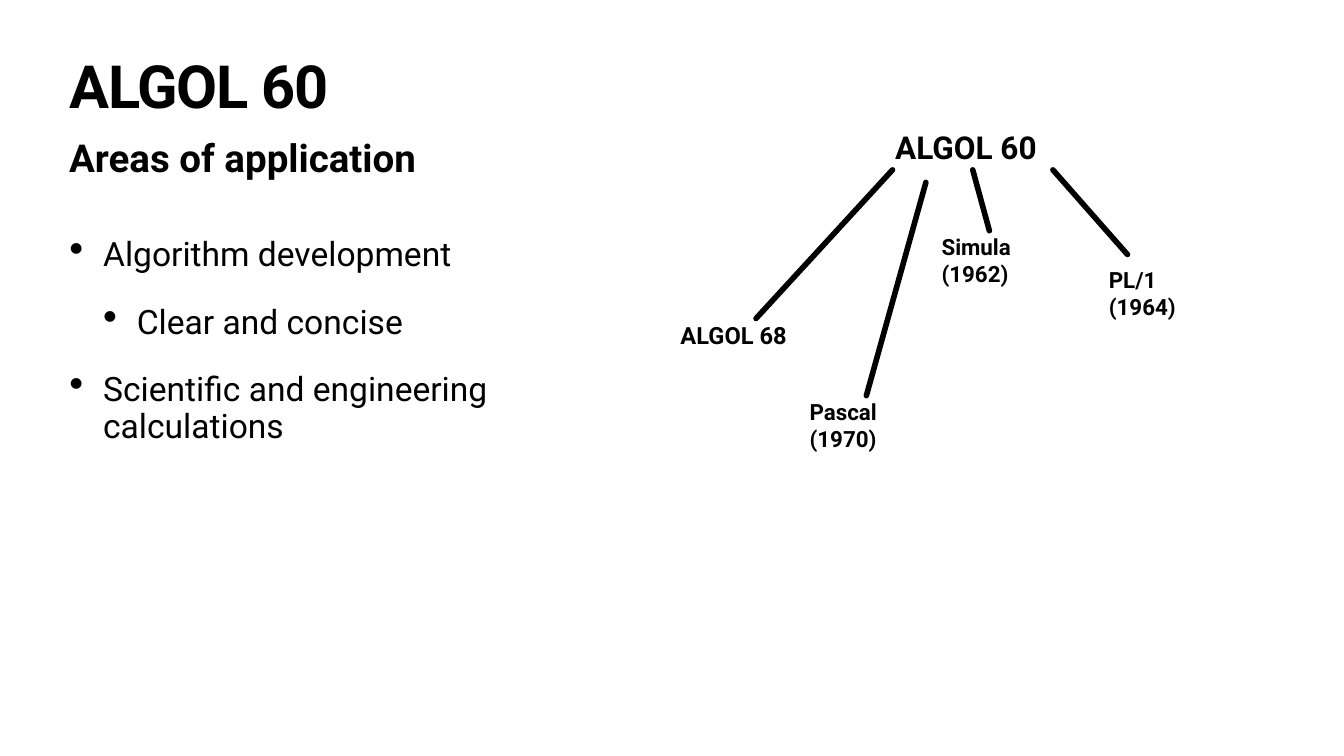
from dataclasses import dataclass

from lxml import etree
from pptx import Presentation
from pptx.dml.color import RGBColor
from pptx.enum.shapes import MSO_CONNECTOR
from pptx.oxml.ns import qn
from pptx.slide import Slide
from pptx.text.text import TextFrame, _Paragraph
from pptx.util import Cm, Pt

STRAIGHT = MSO_CONNECTOR.STRAIGHT
BLANK_LAYOUT = 6
FONT = "Roboto"
COLORS = {"text": "000000", "branch": "000000", "background": "FFFFFF"}

COLUMN_LEFT, COLUMN_WIDTH = 3.35, 27.15
LABEL_WIDTH, LABEL_HEIGHT = 6, 3.02
BULLET_INDENT = 1.7


@dataclass(frozen=True)
class Descendant:
    """A language derived from the root; positions in cm."""

    name: str
    left: float
    top: float
    size: float
    branch_start: tuple[float, float]
    branch_end: tuple[float, float]


@dataclass(frozen=True)
class Bullet:
    content: str
    level: int = 0


DESCENDANTS = (
    Descendant("ALGOL 68", 34.16, 16.05, 33.8, (38.1, 16.05), (44.98, 8.56)),
    Descendant("Simula (1962)", 47.32, 11.63, 31.9, (49.86, 11.63), (49.02, 8.56)),
    Descendant("Pascal (1970)", 40.67, 19.94, 31.9, (43.66, 19.94), (46.66, 9.19)),
    Descendant("PL/1 (1964)", 55.75, 13.28, 31.9, (56.82, 12.83), (53.06, 8.56)),
)

APPLICATIONS = (
    Bullet("Algorithm development"),
    Bullet("Clear and concise", level=1),
    Bullet("Scientific and engineering calculations"),
)


def add_frame(slide: Slide, left: float, top: float, width: float,
              height: float, inset: float = 0.13) -> TextFrame:
    frame = slide.shapes.add_textbox(Cm(left), Cm(top), Cm(width), Cm(height)).text_frame
    frame.word_wrap = True
    frame.margin_left = frame.margin_right = Cm(inset)
    frame.margin_top = frame.margin_bottom = Cm(inset)
    return frame


def add_run(paragraph: _Paragraph, content: str, size: float,
            bold: bool = True, tracking: float = 0) -> None:
    """Add one styled run; tracking is the letter spacing in points."""
    run = paragraph.add_run()
    run.text = content
    run.font.name = FONT
    run.font.size = Pt(size)
    run.font.bold = bold
    run.font.color.rgb = RGBColor.from_string(COLORS["text"])
    if tracking:
        run.font._element.set("spc", str(round(tracking * 100)))


def add_bullet_mark(paragraph: _Paragraph, level: int) -> None:
    properties = paragraph._p.get_or_add_pPr()
    properties.set("marL", str(Cm(BULLET_INDENT * (level + 1))))
    properties.set("indent", str(-Cm(BULLET_INDENT)))
    etree.SubElement(properties, qn("a:buSzPct"), val="123000")
    etree.SubElement(properties, qn("a:buChar"), char="•")


def add_applications(slide: Slide) -> None:
    frame = add_frame(slide, COLUMN_LEFT, 11.81, COLUMN_WIDTH, 22.94, inset=0.15)
    for index, bullet in enumerate(APPLICATIONS):
        paragraph = frame.add_paragraph() if index else frame.paragraphs[0]
        paragraph.level = bullet.level
        paragraph.line_spacing = 0.9
        paragraph.space_before = Pt(45)
        add_bullet_mark(paragraph, bullet.level)
        add_run(paragraph, bullet.content, 48, bold=False)


def add_branch(slide: Slide, start: tuple[float, float], end: tuple[float, float]) -> None:
    branch = slide.shapes.add_connector(STRAIGHT, *map(Cm, start + end))
    branch.line.color.rgb = RGBColor.from_string(COLORS["branch"])
    branch.line.width = Pt(8)
    branch.line._get_or_add_ln().set("cap", "rnd")
    etree.SubElement(branch._element.spPr, qn("a:effectLst"))


def add_family_tree(slide: Slide) -> None:
    root = add_frame(slide, 44.98, 6.32, 8.08, LABEL_HEIGHT)
    add_run(root.paragraphs[0], "ALGOL 60", 45)
    for language in DESCENDANTS:
        label = add_frame(slide, language.left, language.top, LABEL_WIDTH, LABEL_HEIGHT)
        add_run(label.paragraphs[0], language.name, language.size)
    for language in DESCENDANTS:
        add_branch(slide, language.branch_start, language.branch_end)


def main() -> None:
    presentation = Presentation()
    presentation.slide_width, presentation.slide_height = Cm(67.73), Cm(38.1)
    slide = presentation.slides.add_slide(presentation.slide_layouts[BLANK_LAYOUT])
    background = slide.background.fill
    background.solid()
    background.fore_color.rgb = RGBColor.from_string(COLORS["background"])

    subtitle = add_frame(slide, COLUMN_LEFT, 6.6, COLUMN_WIDTH, 2.59)
    add_run(subtitle.paragraphs[0], "Areas of application", 55)
    add_applications(slide)
    title = add_frame(slide, COLUMN_LEFT, 3, COLUMN_WIDTH, 3.99, inset=0.15)
    title.paragraphs[0].line_spacing = 0.8
    add_run(title.paragraphs[0], "ALGOL 60", 85, tracking=-1.7)
    add_family_tree(slide)

    presentation.save("out.pptx")


if __name__ == "__main__":
    main()
